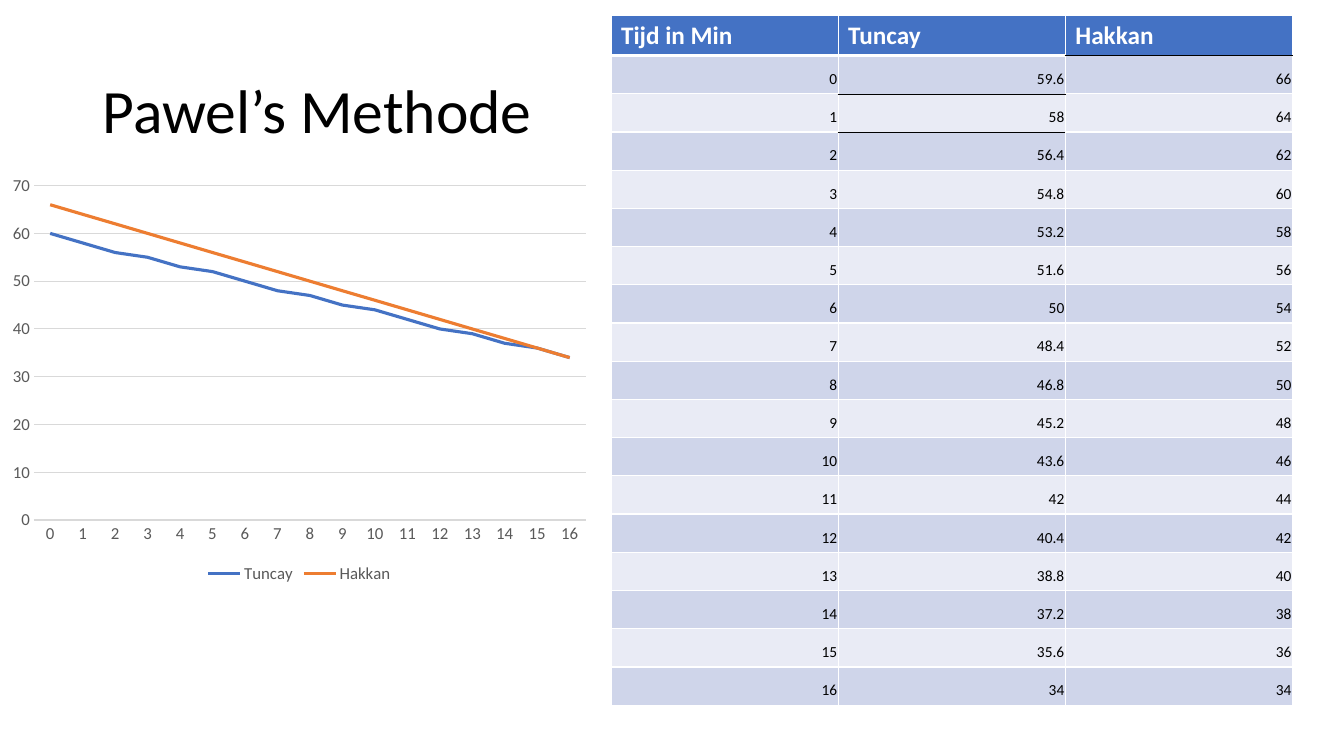
from lxml.etree import SubElement
from pptx import Presentation
from pptx.chart.data import CategoryChartData
from pptx.dml.color import RGBColor
from pptx.enum.chart import XL_CHART_TYPE, XL_LEGEND_POSITION, XL_TICK_MARK
from pptx.enum.text import MSO_ANCHOR, PP_ALIGN
from pptx.oxml.ns import qn
from pptx.util import Inches, Pt

FONT = "Calibri"
BLUE, ORANGE, GREY, LIGHT_GREY = "4472C4", "ED7D31", "595959", "D9D9D9"
BAND_COLORS = ("E9EBF5", "CFD5EA")
MINUTES = range(17)
LINES = {
    "Tuncay": ([round(59.6 - 1.6 * minute, 1) for minute in MINUTES], BLUE),
    "Hakkan": ([66 - 2 * minute for minute in MINUTES], ORANGE),
}
# Thin black edges, as (horizontal edge number, column)
BLACK_EDGES = {(1, 2), (2, 1), (3, 1)}


def color(hex_string):
    """Turn a hex string into a colour."""
    return RGBColor.from_string(hex_string)


def style_font(font, size, hex_string, bold=False):
    """Set typeface, size, colour and weight."""
    font.name, font.size, font.bold = FONT, Pt(size), bold
    font.color.rgb = color(hex_string)


def style_line(line, hex_string, width):
    """Set the colour and width of a line."""
    line.color.rgb = color(hex_string)
    line.width = Pt(width)


def add_title(slide, left, top, width, height):
    """Place the slide title."""
    shape = slide.shapes.add_textbox(left, top, width, height)
    text_frame = shape.text_frame
    text_frame.word_wrap = True
    text_frame.vertical_anchor = MSO_ANCHOR.MIDDLE
    text_frame.text = "Pawel’s Methode"
    paragraph = text_frame.paragraphs[0]
    paragraph.line_spacing = 0.9
    style_font(paragraph.runs[0].font, 44, "000000")


def horizontal_edge(edge, column):
    """Return colour and width of a horizontal table edge."""
    if (edge, column) in BLACK_EDGES:
        return "000000", 0.25
    return "FFFFFF", 3 if edge == 1 else 1


def set_borders(cell, row, column):
    """Draw the four borders of a cell; call before filling it."""
    borders = {
        "a:lnL": ("FFFFFF", 1),
        "a:lnR": ("FFFFFF", 1),
        "a:lnT": horizontal_edge(row, column),
        "a:lnB": horizontal_edge(row + 1, column),
    }
    properties = cell._tc.get_or_add_tcPr()
    for tag, (hex_string, width) in borders.items():
        line = SubElement(properties, qn(tag), w=str(Pt(width)))
        fill = SubElement(line, qn("a:solidFill"))
        SubElement(fill, qn("a:srgbClr"), val=hex_string)


def fill_cell(cell, row, column, value):
    """Write and format one table cell."""
    set_borders(cell, row, column)
    cell.fill.solid()
    cell.fill.fore_color.rgb = color(BAND_COLORS[row % 2] if row else BLUE)
    cell.text_frame.text = f"{value:g}" if row else value
    paragraph = cell.text_frame.paragraphs[0]
    if row == 0:
        style_font(paragraph.runs[0].font, 18, "FFFFFF", bold=True)
        return
    style_font(paragraph.runs[0].font, 11, "000000")
    paragraph.alignment = PP_ALIGN.RIGHT
    cell.vertical_anchor = MSO_ANCHOR.BOTTOM
    cell.margin_left = cell.margin_top = cell.margin_right = Inches(0.01)
    cell.margin_bottom = Inches(0.05)


def add_time_table(slide, left, top, width, height):
    """Place the table of values per minute."""
    rows = [("Tijd in Min", *LINES)]
    rows += zip(MINUTES, *(values for values, _ in LINES.values()))
    table = slide.shapes.add_table(len(rows), len(rows[0]), left, top, width, height).table
    for row, values in enumerate(rows):
        for column, value in enumerate(values):
            fill_cell(table.cell(row, column), row, column, value)


def add_line_chart(slide, left, top, width, height):
    """Place the line chart of both series, in whole numbers."""
    data = CategoryChartData()
    data.categories = [str(minute) for minute in MINUTES]
    for name, (values, _) in LINES.items():
        data.add_series(name, [round(value) for value in values])
    chart = slide.shapes.add_chart(XL_CHART_TYPE.LINE, left, top, width, height, data).chart
    style_font(chart.font, 10, "000000")
    chart.has_title = False
    chart.has_legend = True
    chart.legend.position = XL_LEGEND_POSITION.BOTTOM
    chart.legend.include_in_layout = False
    style_font(chart.legend.font, 12, GREY)
    for axis in (chart.category_axis, chart.value_axis):
        axis.major_tick_mark = axis.minor_tick_mark = XL_TICK_MARK.NONE
        style_font(axis.tick_labels.font, 12, GREY)
    style_line(chart.category_axis.format.line, LIGHT_GREY, 0.75)
    value_axis = chart.value_axis
    value_axis.format.line.fill.background()
    value_axis.minimum_scale, value_axis.maximum_scale = 0, 70
    value_axis.major_unit = 10
    style_line(value_axis.major_gridlines.format.line, LIGHT_GREY, 0.75)
    plot = chart.plots[0]
    plot.vary_by_categories = False
    for series in plot.series:
        series.smooth = False
        style_line(series.format.line, LINES[series.name][1], 2.25)


def build_slide(presentation):
    """Add the slide with title, table and chart."""
    slide = presentation.slides.add_slide(presentation.slide_layouts[6])
    add_title(slide, Inches(0.92), Inches(0.4), Inches(11.5), Inches(1.45))
    add_time_table(slide, Inches(6.06), Inches(0.15), Inches(6.76), Inches(6.83))
    add_line_chart(slide, Inches(0.01), Inches(1.66), Inches(5.92), Inches(4.17))


presentation = Presentation()
presentation.slide_width = Inches(13.33)
presentation.slide_height = Inches(7.5)
build_slide(presentation)
presentation.save("out.pptx")
